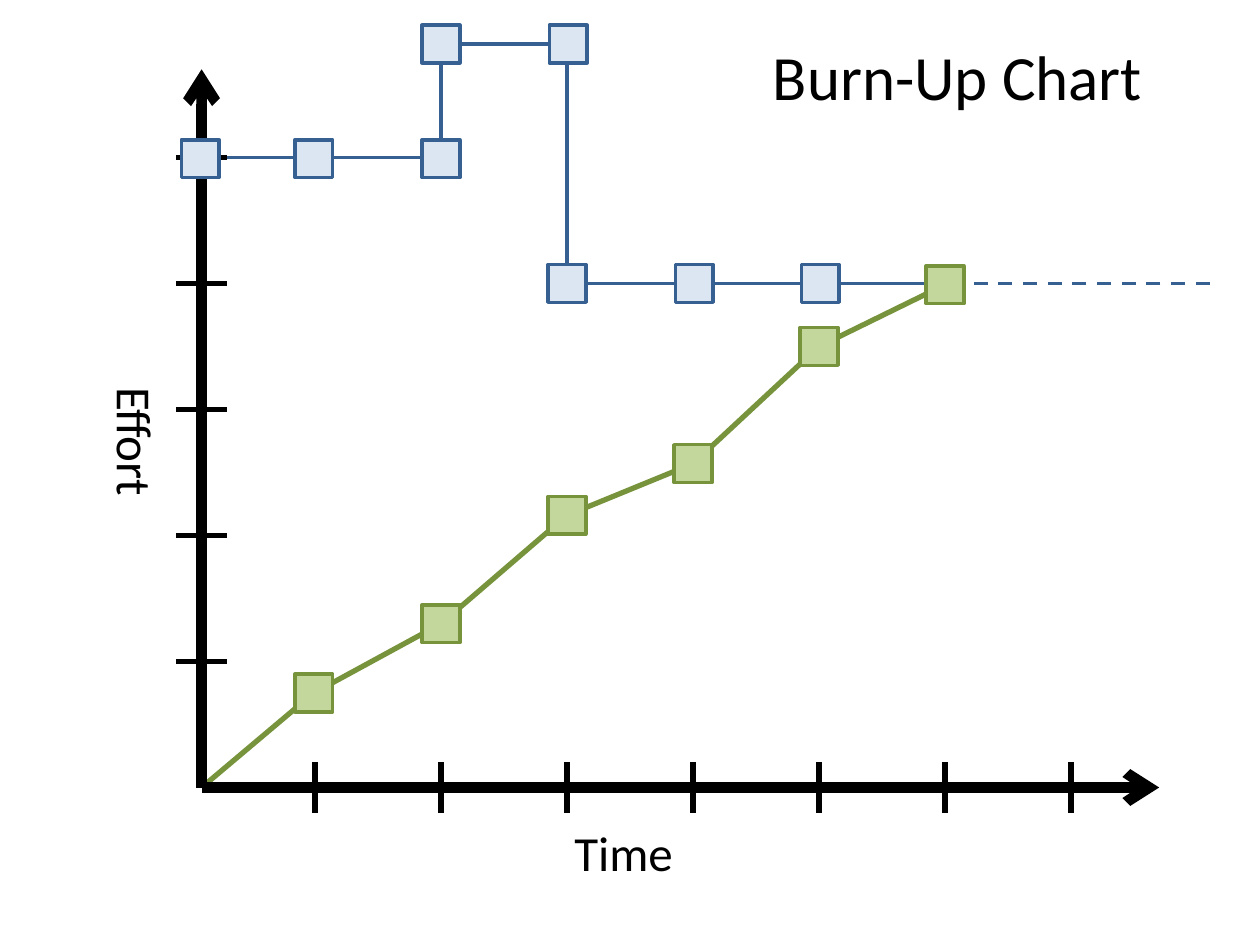
from itertools import pairwise

from lxml import etree
from pptx import Presentation
from pptx import util as u
from pptx.dml.color import RGBColor
from pptx.enum import dml, shapes, text
from pptx.oxml.ns import qn

BLACK, BLUE, GREEN = "000000", "376092", "77933C"
PALE_BLUE, PALE_GREEN = "DCE6F2", "C3D69B"
ORIGIN = (1.6, 6.25)
MARKER, TICK = 0.3, 0.2

SCOPE_CORNERS = [(1.6, 1.25), (3.5, 1.25), (3.5, 0.35), (4.5, 0.35),
                 (4.5, 2.25), (5.5, 2.25), (7.5, 2.25)]
SCOPE_MARKERS = [(1.59, 1.26), (2.49, 1.26), (3.5, 1.26), (3.5, 0.35),
                 (4.51, 0.35), (4.5, 2.25), (5.51, 2.25), (6.51, 2.25)]
DONE_POINTS = [(2.49, 5.5), (3.5, 4.95), (4.5, 4.09),
               (5.5, 3.68), (6.5, 2.75), (7.5, 2.26)]


def color(value):
    return RGBColor.from_string(value)


def add_line(page, start, end, line_color, width, dash=None, arrow=False):
    line = page.shapes.add_connector(
        shapes.MSO_CONNECTOR.STRAIGHT, *map(u.Inches, (*start, *end)))
    line.line.color.rgb = color(line_color)
    line.line.width = u.Pt(width)
    if dash:
        line.line.dash_style = dash
    properties = line._element.spPr
    if arrow:
        outline = properties.find(qn("a:ln"))
        etree.SubElement(outline, qn("a:tailEnd"), type="arrow")
    etree.SubElement(properties, qn("a:effectLst"))


def add_path(page, points, line_color, width):
    for start, end in pairwise(points):
        add_line(page, start, end, line_color, width)


def add_markers(page, centers, fill, line_color):
    for x, y in centers:
        marker = page.shapes.add_shape(
            shapes.MSO_SHAPE.RECTANGLE, u.Inches(x - MARKER / 2),
            u.Inches(y - MARKER / 2), u.Inches(MARKER), u.Inches(MARKER))
        marker.shadow.inherit = False
        marker.fill.solid()
        marker.fill.fore_color.rgb = color(fill)
        marker.line.color.rgb = color(line_color)
        marker.line.width = u.Pt(2)


def write_text(box, words, size=28, font="Calibri", text_color=BLACK):
    frame = box.text_frame
    frame.word_wrap = True
    frame.auto_size = text.MSO_AUTO_SIZE.SHAPE_TO_FIT_TEXT
    frame.vertical_anchor = text.MSO_ANCHOR.TOP
    para = frame.paragraphs[0]
    para.alignment = text.PP_ALIGN.CENTER
    span = para.add_run()
    span.text = words
    span.font.size = u.Pt(size)
    span.font.name = font
    span.font.color.rgb = color(text_color)


def add_label(page, words, left, top, rotation=0):
    box = page.shapes.add_textbox(
        u.Inches(left), u.Inches(top), u.Inches(2.9), u.Inches(0.57))
    box.rotation = rotation
    write_text(box, words)


def set_title(page, words):
    title = page.shapes.title
    title.left, title.top = u.Inches(5.6), u.Inches(0.25)
    title.width, title.height = u.Inches(4), u.Inches(0.71)
    write_text(title, words, size=36)


def add_axes(page):
    x, y = ORIGIN
    add_line(page, ORIGIN, (x, 0.55), BLACK, 6, arrow=True)
    add_line(page, ORIGIN, (9.2, y), BLACK, 6, arrow=True)
    for step in range(1, 6):
        add_line(page, (x - TICK, y - step), (x + TICK, y - step), BLACK, 3)
    for step in range(7):
        add_line(page, (2.5 + step, y + TICK), (2.5 + step, y - TICK), BLACK, 3)


def main():
    deck = Presentation()
    deck.slide_width, deck.slide_height = u.Inches(10), u.Inches(7.5)
    page = deck.slides.add_slide(deck.slide_layouts[5])
    set_title(page, "Burn-Up Chart")
    add_path(page, SCOPE_CORNERS, BLUE, 2)
    add_line(page, (9.6, 2.25), SCOPE_CORNERS[-1], BLUE, 2,
             dash=dml.MSO_LINE.DASH)
    add_path(page, [ORIGIN, *DONE_POINTS], GREEN, 3)
    add_axes(page)
    add_label(page, "Time", 3.5, 6.48)
    add_label(page, "Effort", -0.37, 3.22, rotation=90)
    add_markers(page, SCOPE_MARKERS, PALE_BLUE, BLUE)
    add_markers(page, DONE_POINTS, PALE_GREEN, GREEN)
    deck.save("out.pptx")


if __name__ == "__main__":
    main()
